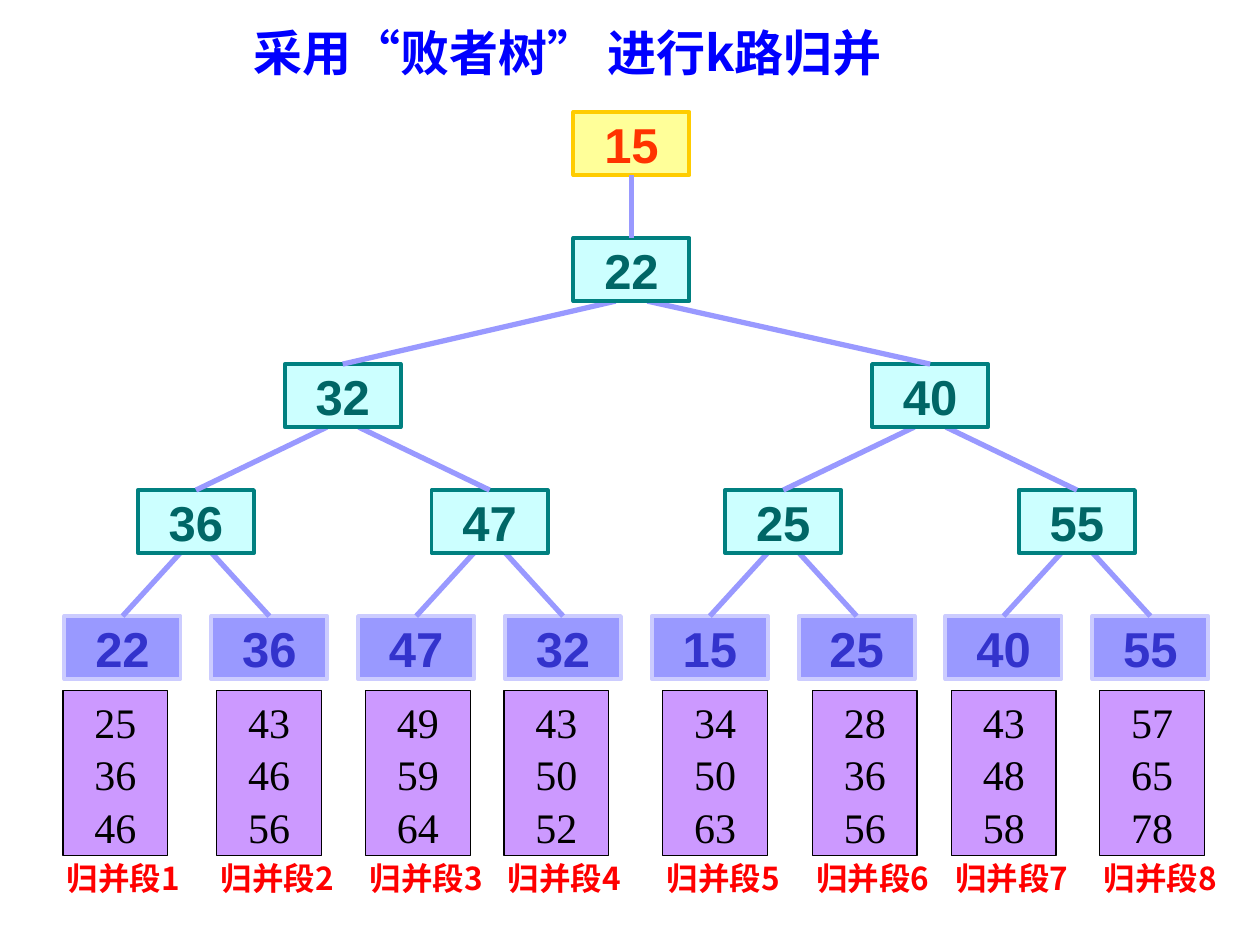
from lxml import etree
from pptx import Presentation
from pptx import util as u
from pptx.dml.color import RGBColor
from pptx.enum import shapes, text
from pptx.oxml.ns import qn

HUES = {
    "title": "0000FF", "link": "9999FF", "label": "FF0000", "black": "000000",
    "run": "CC99FF",
    "win": "FFFF99", "win_edge": "FFCC00", "win_text": "FF3300",
    "node": "CCFFFF", "node_edge": "008080", "node_text": "006666",
    "leaf": "9999FF", "leaf_edge": "CCCCFF", "leaf_text": "3333CC",
}
HAN, SANS, SERIF = "Noto Sans CJK SC", "Arial", "Times New Roman"
MID, LEFT = text.PP_ALIGN.CENTER, text.PP_ALIGN.LEFT

# Lengths in centimetres
WIDE, HIGH = 2.34, 1.27
TOP, STEP = 2.26, 2.54
EDGE, PITCH = 1.30, 2.96
ROOT = 11.56
FORK = 0.32

LEAVES = [22, 36, 47, 32, 15, 25, 40, 55]
LOSERS = [[36, 47, 25, 55], [32, 40], [22]]
RUNS = [
    (1.27, (25, 36, 46)), (4.37, (43, 46, 56)),
    (7.37, (49, 59, 64)), (10.16, (43, 50, 52)),
    (13.36, (34, 50, 63)), (16.38, (28, 36, 56)),
    (19.18, (43, 48, 58)), (22.17, (57, 65, 78)),
]


def hue(name):
    return RGBColor.from_string(HUES[name])


class Board:
    """The slide being drawn and the style of its elements."""

    def __init__(self, slide):
        self.slide = slide

    def style(self, para, size, face, color, bold=False, align=MID):
        para.alignment = align
        font = para.font
        font.size, font.name, font.bold = u.Pt(size), face, bold
        font.color.rgb = hue(color)
        if face == HAN:
            para.line_spacing = 0.82
            base = para._p.pPr.find(qn("a:defRPr"))
            etree.SubElement(base, qn("a:ea")).set("typeface", HAN)

    def title(self, pieces):
        head = self.slide.shapes.title
        head.left, head.top = u.Cm(0.69), u.Cm(0.53)
        head.width, head.height = u.Cm(21.51), u.Cm(1.45)
        frame = head.text_frame
        frame.word_wrap = True
        frame.vertical_anchor = text.MSO_ANCHOR.TOP
        para = frame.paragraphs[0]
        for words, face in pieces:
            run = para.add_run()
            run.text, run.font.name = words, face
        self.style(para, 28, HAN, "title", True)

    def rect(self, x, y, w, h, fill, edge, weight):
        box = self.slide.shapes.add_shape(
            shapes.MSO_SHAPE.RECTANGLE, u.Cm(x), u.Cm(y), u.Cm(w), u.Cm(h))
        box.shadow.inherit = False
        box.fill.solid()
        box.fill.fore_color.rgb = hue(fill)
        box.line.color.rgb = hue(edge)
        box.line.width = u.Pt(weight)
        box.text_frame.vertical_anchor = text.MSO_ANCHOR.MIDDLE
        return box

    def node(self, x, level, value, kind):
        box = self.rect(x, TOP + level * STEP, WIDE, HIGH,
                        kind, kind + "_edge", 2.25)
        frame = box.text_frame
        frame.word_wrap = False
        frame.text = str(value)
        self.style(frame.paragraphs[0], 28, SANS, kind + "_text", True)
        return box

    def link(self, low, x, y):
        """Join the top of a box to a point above it."""
        line = self.slide.shapes.add_connector(
            shapes.MSO_CONNECTOR.STRAIGHT, 0, 0, u.Cm(x), u.Cm(y))
        line.begin_connect(low, 0)
        line.line.color.rgb = hue("link")
        line.line.width = u.Pt(3)
        etree.SubElement(line._element.spPr, qn("a:effectLst"))
        return line

    def stack(self, x, values):
        box = self.rect(x, 13.92, 2.11, 3.33, "run", "black", 0.75)
        frame = box.text_frame
        frame.text = "\n".join(map(str, values))
        for para in frame.paragraphs:
            self.style(para, 24, SERIF, "black")
            para.line_spacing = 1.04

    def label(self, x, words):
        box = self.slide.shapes.add_textbox(
            u.Cm(x), u.Cm(17.32), u.Cm(2.79), u.Cm(1.02))
        frame = box.text_frame
        frame.word_wrap = True
        frame.text = words
        self.style(frame.paragraphs[0], 18, HAN, "label", True, LEFT)


def tree(board):
    row = [board.node(EDGE + i * PITCH, 4, value, "leaf")
           for i, value in enumerate(LEAVES)]
    for depth, values in enumerate(LOSERS, 1):
        level, span = 4 - depth, 2 ** depth
        above = []
        for i, value in enumerate(values):
            x = EDGE + PITCH * (i * span + (span - 1) / 2)
            if level == 1:
                x = ROOT
            for low, side in zip(row[2 * i:2 * i + 2], (-1, 1)):
                board.link(low, x + WIDE / 2 + side * FORK,
                           TOP + level * STEP + HIGH)
            above.append(board.node(x, level, value, "node"))
        row = above
    win = board.node(ROOT, 0, 15, "win")
    board.link(row[0], ROOT + WIDE / 2, TOP + HIGH).end_connect(win, 2)


def main():
    deck = Presentation()
    deck.slide_width, deck.slide_height = u.Cm(25.4), u.Cm(19.05)
    board = Board(deck.slides.add_slide(deck.slide_layouts[5]))
    board.title([("采用", HAN), ("“", SERIF), ("败者树", HAN),
                 ("”", SERIF), (" 进行k路归并", HAN)])
    tree(board)
    for i, (x, values) in enumerate(RUNS, 1):
        board.stack(x, values)
        board.label(x - 0.17, f"归并段{i}")
    deck.save("out.pptx")


if __name__ == "__main__":
    main()
